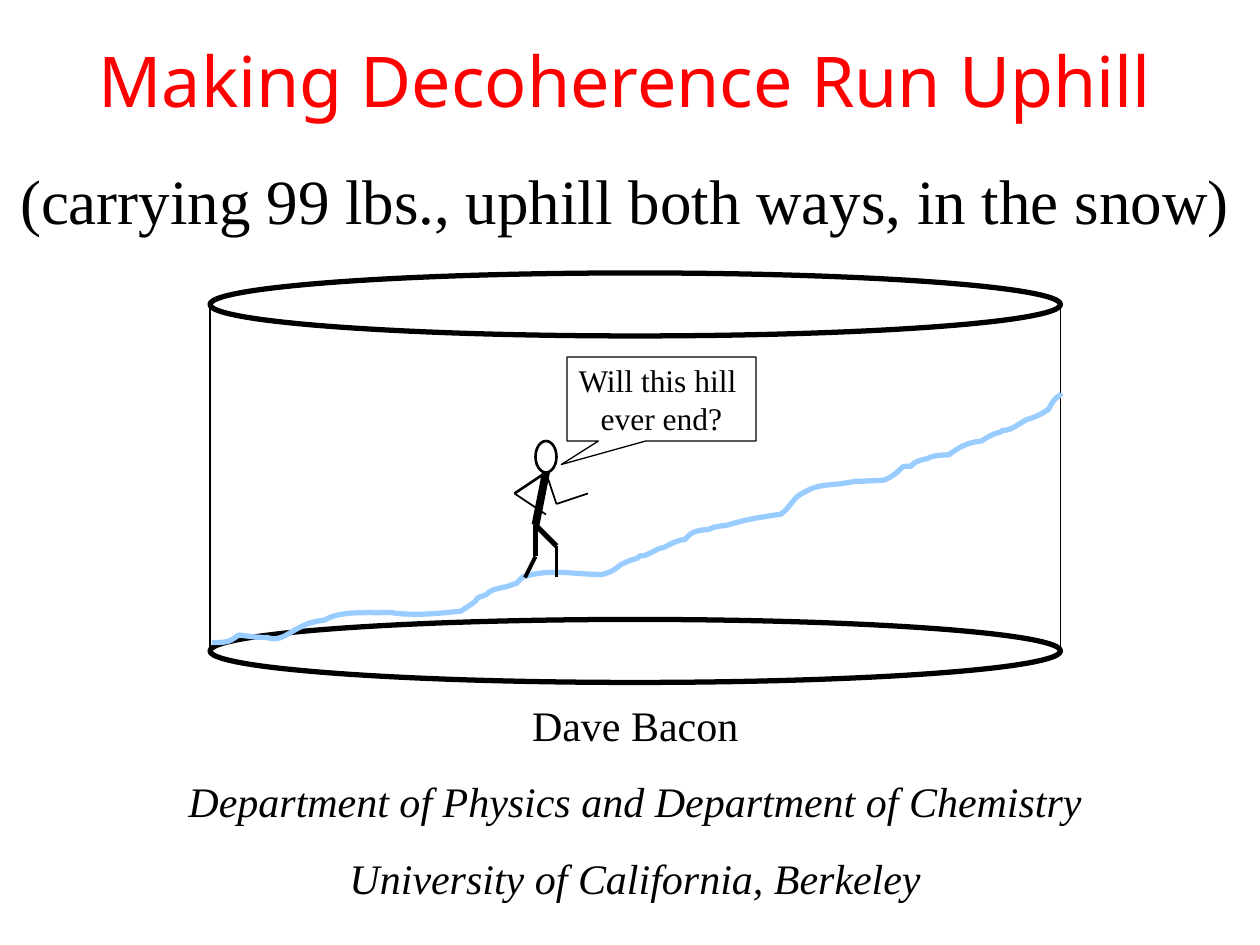
import pptx
import pptx.util
import pptx.dml.color
import pptx.enum.shapes
import pptx.enum.text
import pptx.oxml.ns
import lxml.etree

SLIDE_SIZE = (10, 7.5)
COLUMNS = 120
CELL = SLIDE_SIZE[0] / COLUMNS

THEME = {
    "ink": "000000", "paper": "FFFFFF", "title": "FF0000", "snow": "99CCFF",
    "serif": "Times New Roman", "sans": "Noto Sans",
    "title_size": 40, "subtitle_size": 36, "credit_size": 24, "speech_size": 18,
    "thick": 3, "thin": 0.75,
}

HEADING = [
    ("Making Decoherence Run Uphill", "sans", "title_size", "title", False, 0),
    ("(carrying 99 lbs., uphill both ways, in the snow)", "serif", "subtitle_size", "ink", False, 22.5),
]
CREDITS = [
    ("Dave Bacon", "serif", "credit_size", "ink", False, 0),
    ("Department of Physics and Department of Chemistry", "serif", "credit_size", "ink", True, 15),
    ("University of California, Berkeley", "serif", "credit_size", "ink", True, 15),
]
SPEECH = [
    ("Will this hill ", "serif", "speech_size", "ink", False, 0),
    ("ever end?", "serif", "speech_size", "ink", False, 0),
]

CYLINDER = {"left": 20, "width": 81, "rims": (26, 59), "rim_height": 6}
HEAD = (51, 42, 2, 3)
SPEECH_CELLS = (54, 34, 18, 8)
HEADING_CELLS = (0, 3, 119, 20.2)
CREDIT_CELLS = (8, 66, 105, 20.6)

NECK = (52, 45)
LIMBS = [
    ((51, 50), (53, 52), 3), ((53, 52), (53, 55), 2.25),
    ((51, 50), (51, 53), 3), ((51, 53), (50, 55), 2.25),
    ((51, 50), NECK, 4.5),
    (NECK, (49, 47), 1.5), ((49, 47), (52, 49), 1),
    (NECK, (53, 48), 1), ((53, 48), (56, 47), 1),
    (NECK, NECK, 0.75),
]

HILL_START = (1.68, 5.1)
HILL_BENDS = [
    ((1.73, 5.1), (1.77, 5.1), (1.81, 5.09)), ((1.85, 5.08), (1.87, 5.05), (1.9, 5.04)),
    ((1.98, 5.05), (2.04, 5.06), (2.12, 5.06)), ((2.23, 5.1), (2.3, 5.01), (2.4, 4.97)),
    ((2.45, 4.94), (2.52, 4.93), (2.58, 4.92)), ((2.71, 4.84), (2.95, 4.87), (3.09, 4.86)),
    ((3.28, 4.89), (3.47, 4.87), (3.66, 4.85)), ((3.69, 4.83), (3.72, 4.81), (3.75, 4.79)),
    ((3.82, 4.74), (3.74, 4.76), (3.86, 4.72)), ((3.9, 4.67), (3.98, 4.67), (4.04, 4.65)),
    ((4.06, 4.64), (4.1, 4.63), (4.1, 4.63)), ((4.12, 4.62), (4.13, 4.59), (4.15, 4.58)),
    ((4.35, 4.51), (4.57, 4.56), (4.78, 4.56)), ((4.81, 4.55), (4.84, 4.54), (4.86, 4.53)),
    ((4.9, 4.51), (4.92, 4.48), (4.95, 4.47)), ((4.99, 4.45), (5.06, 4.43), (5.06, 4.43)),
    ((5.1, 4.39), (5.06, 4.43), (5.14, 4.4)), ((5.17, 4.39), (5.17, 4.38), (5.2, 4.37)),
    ((5.23, 4.35), (5.26, 4.35), (5.28, 4.34)), ((5.34, 4.31), (5.37, 4.29), (5.44, 4.28)),
    ((5.49, 4.21), (5.55, 4.21), (5.63, 4.2)), ((5.68, 4.17), (5.74, 4.18), (5.8, 4.16)),
    ((5.93, 4.12), (6.07, 4.1), (6.2, 4.08)), ((6.27, 4.03), (6.3, 3.94), (6.38, 3.91)),
    ((6.47, 3.85), (6.56, 3.85), (6.67, 3.84)), ((6.72, 3.83), (6.74, 3.83), (6.79, 3.82)),
    ((6.87, 3.82), (7.02, 3.81), (7.02, 3.81)), ((7.08, 3.78), (7.1, 3.77), (7.16, 3.71)),
    ((7.17, 3.7), (7.2, 3.7), (7.23, 3.7)), ((7.26, 3.66), (7.31, 3.65), (7.36, 3.64)),
    ((7.4, 3.61), (7.53, 3.61), (7.53, 3.61)), ((7.61, 3.55), (7.68, 3.51), (7.79, 3.5)),
    ((7.84, 3.47), (7.88, 3.44), (7.94, 3.43)), ((7.99, 3.39), (7.92, 3.44), (8.03, 3.4)),
    ((8.07, 3.38), (8.11, 3.35), (8.15, 3.33)), ((8.22, 3.31), (8.26, 3.29), (8.32, 3.25)),
    ((8.34, 3.22), (8.35, 3.19), (8.38, 3.16)), ((8.39, 3.15), (8.42, 3.14), (8.42, 3.12)),
]


def cells(*counts):
    return [pptx.util.Inches(count * CELL) for count in counts]


def inches(point):
    return tuple(map(pptx.util.Inches, point))


def color(key):
    return pptx.dml.color.RGBColor.from_string(THEME[key])


def style(part, line, width, fill=None):
    part.shadow.inherit = False
    part.line.color.rgb = color(line)
    part.line.width = pptx.util.Pt(width)
    if fill:
        part.fill.solid()
        part.fill.fore_color.rgb = color(fill)
    else:
        part.fill.background()


def add_outline(slide, kind, place, width, fill=None):
    outline = slide.shapes.add_shape(kind, *cells(*place))
    style(outline, "ink", width, fill)
    return outline


def add_stroke(slide, start, end, width):
    stroke = slide.shapes.add_connector(
        pptx.enum.shapes.MSO_CONNECTOR.STRAIGHT, *cells(*start, *end))
    stroke.line.color.rgb = color("ink")
    stroke.line.width = pptx.util.Pt(width)
    lxml.etree.SubElement(stroke._element.spPr, pptx.oxml.ns.qn("a:effectLst"))


def write(frame, content, wrap):
    frame.word_wrap = wrap
    frame.text = "\n".join(entry[0] for entry in content)
    for paragraph, (_, face, size, ink, italic, gap) in zip(frame.paragraphs, content):
        paragraph.alignment = pptx.enum.text.PP_ALIGN.CENTER
        paragraph.space_before = pptx.util.Pt(gap)
        font = paragraph.runs[0].font
        font.name = THEME[face]
        font.size = pptx.util.Pt(THEME[size])
        font.color.rgb = color(ink)
        font.italic = italic


def add_hill(slide):
    builder = slide.shapes.build_freeform(*inches(HILL_START))
    builder.add_line_segments([inches(bend[-1]) for bend in HILL_BENDS], close=False)
    hill = builder.convert_to_shape()
    style(hill, "snow", THEME["thick"])
    segments = list(hill._element.spPr.iter(pptx.oxml.ns.qn("a:lnTo")))
    for segment, bend in zip(segments, HILL_BENDS):
        segment.tag = pptx.oxml.ns.qn("a:cubicBezTo")
        for order, control in enumerate(bend[:2]):
            x, y = inches(control)
            handle = lxml.etree.Element(
                pptx.oxml.ns.qn("a:pt"), x=str(x - hill.left), y=str(y - hill.top))
            segment.insert(order, handle)


def add_cylinder(slide):
    left, width, height = CYLINDER["left"], CYLINDER["width"], CYLINDER["rim_height"]
    for top in CYLINDER["rims"]:
        add_outline(slide, pptx.enum.shapes.MSO_SHAPE.OVAL, (left, top, width, height), THEME["thick"])
    upper, lower = (top + height / 2 for top in CYLINDER["rims"])
    for side in (left + width, left):
        add_stroke(slide, (side, upper), (side, lower), THEME["thin"])


def main():
    deck = pptx.Presentation()
    deck.slide_width, deck.slide_height = inches(SLIDE_SIZE)
    slide = deck.slides.add_slide(deck.slide_layouts[6])

    add_cylinder(slide)
    add_hill(slide)
    for start, end, width in LIMBS:
        add_stroke(slide, start, end, width)
    add_outline(slide, pptx.enum.shapes.MSO_SHAPE.OVAL, HEAD, 1.5, "paper")

    speech = add_outline(slide, pptx.enum.shapes.MSO_SHAPE.RECTANGULAR_CALLOUT,
                         SPEECH_CELLS, THEME["thin"], "paper")
    speech.adjustments[0], speech.adjustments[1] = -0.53, 0.78
    speech.text_frame.vertical_anchor = pptx.enum.text.MSO_ANCHOR.MIDDLE
    write(speech.text_frame, SPEECH, False)

    for place, content in ((HEADING_CELLS, HEADING), (CREDIT_CELLS, CREDITS)):
        write(slide.shapes.add_textbox(*cells(*place)).text_frame, content, True)

    deck.save("out.pptx")


if __name__ == "__main__":
    main()
